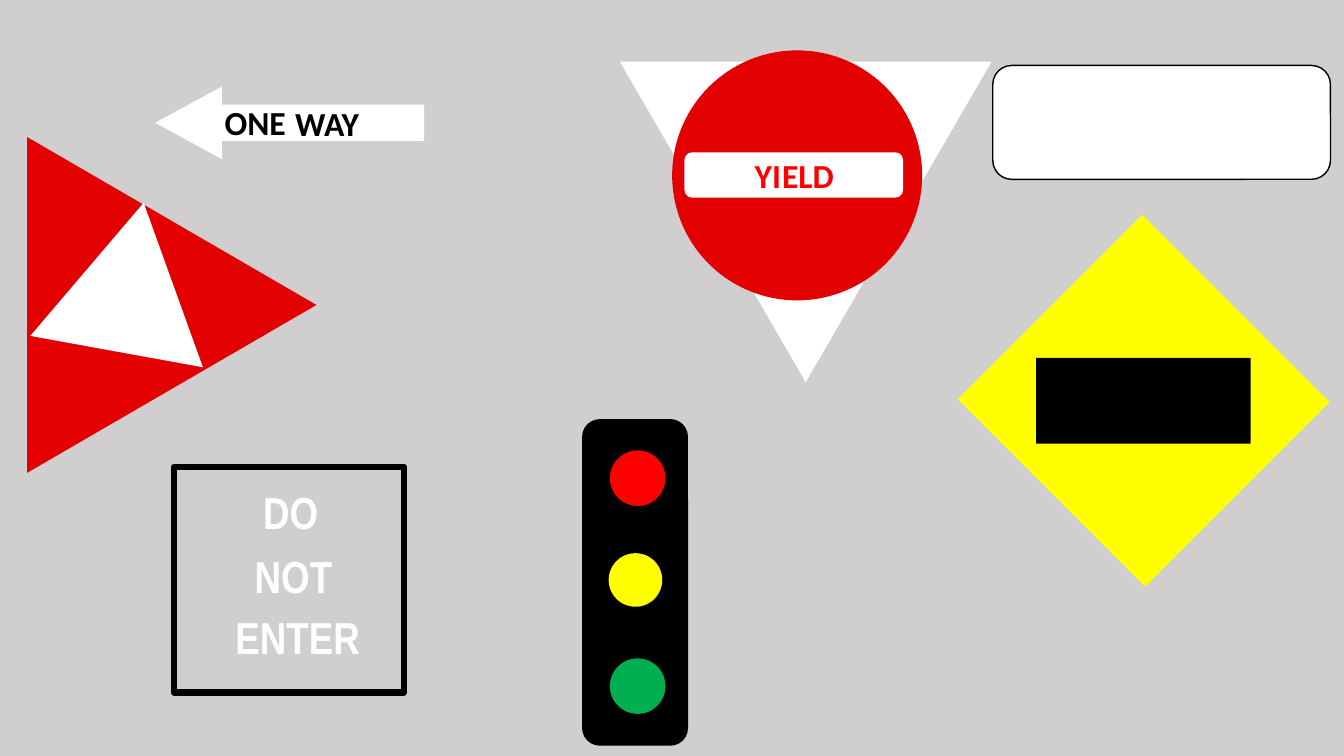
"""Build a slide of road signs and a traffic light."""
from dataclasses import dataclass

from pptx import Presentation
from pptx.dml.color import RGBColor
from pptx.enum.shapes import MSO_SHAPE
from pptx.enum.text import MSO_AUTO_SIZE, PP_ALIGN
from pptx.util import Cm, Pt

RECT = MSO_SHAPE.RECTANGLE
ROUND = MSO_SHAPE.ROUNDED_RECTANGLE
OVAL = MSO_SHAPE.OVAL
TRIANGLE = MSO_SHAPE.ISOSCELES_TRIANGLE
ARROW = MSO_SHAPE.LEFT_ARROW
LEFT, CENTER = PP_ALIGN.LEFT, PP_ALIGN.CENTER


@dataclass(frozen=True)
class Theme:
    backdrop: str = "D0CECE"
    white: str = "FFFFFF"
    black: str = "000000"
    sign_red: str = "E20000"
    red: str = "FF0000"
    yellow: str = "FFFF00"
    green: str = "00B050"
    body_font: str = "Calibri"
    narrow_font: str = "Arial Narrow"
    label: int = 24
    large: int = 32
    thin: float = 1
    thick: float = 4.5


theme = Theme()
prs = Presentation()
prs.slide_width, prs.slide_height = Cm(33.87), Cm(19.05)
s = prs.slides.add_slide(prs.slide_layouts[6])
s.background.fill.solid()
s.background.fill.fore_color.rgb = RGBColor.from_string(theme.backdrop)


def add_sign(kind, box, fill=None, rotation=0, line=None):
    sp = s.shapes.add_shape(kind, *(Cm(v) for v in box))
    sp.shadow.inherit = False
    sp.rotation = rotation
    if fill:
        sp.fill.solid()
        sp.fill.fore_color.rgb = RGBColor.from_string(fill)
    else:
        sp.fill.background()
    if line:
        sp.line.color.rgb = RGBColor.from_string(theme.black)
        sp.line.width = Pt(line)
    else:
        sp.line.fill.background()
    return sp


def add_word(text, box, size, font, color, align=LEFT):
    tf = s.shapes.add_textbox(*(Cm(v) for v in box)).text_frame
    tf.word_wrap = True
    tf.auto_size = MSO_AUTO_SIZE.SHAPE_TO_FIT_TEXT
    p = tf.paragraphs[0]
    p.alignment = align
    r = p.add_run()
    r.text = text
    r.font.size = Pt(size)
    r.font.name = font
    r.font.bold = True
    r.font.color.rgb = RGBColor.from_string(color)


add_sign(ROUND, (25.02, 1.65, 8.51, 2.87), theme.white, line=theme.thin)

one_way = add_sign(ARROW, (3.91, 2.18, 6.78, 1.83), theme.white)
one_way.adjustments[1] = 0.92
for text, left, top, width in (("ONE", 5.41, 2.44, 2.46), ("WAY", 7.19, 2.46, 2.74)):
    add_word(text, (left, top, width, 1.27), theme.label, theme.body_font, theme.black)

add_sign(TRIANGLE, (0.1, 4.04, 8.46, 7.29), theme.sign_red, 90)
add_sign(TRIANGLE, (1.07, 5.08, 4.42, 3.81), theme.white, 10.3)

add_sign(RECT, (25.48, 6.81, 6.68, 6.58), theme.yellow, 45)
add_sign(RECT, (26.11, 9.02, 5.41, 2.16), theme.black)

add_sign(RECT, (4.39, 11.76, 5.79, 5.69), line=theme.thick)
for text, left, top, width, align in (
    ("DO", 6.38, 12.09, 2.97, LEFT),
    ("NOT", 6.17, 13.69, 2.97, LEFT),
    ("ENTER", 5.41, 15.24, 4.19, CENTER),
):
    add_word(text, (left, top, width, 1.63), theme.large, theme.narrow_font, theme.white, align)

add_sign(ROUND, (11.89, 13.34, 8.23, 2.67), theme.black, 270)
for color, left, top, size in (
    (theme.red, 15.37, 11.35, 1.4),
    (theme.yellow, 15.34, 13.94, 1.35),
    (theme.green, 15.37, 16.59, 1.4),
):
    add_sign(OVAL, (left, top, size, size), color)

add_sign(TRIANGLE, (15.62, 1.55, 9.37, 8.08), theme.white, 180)
add_sign(OVAL, (16.94, 1.27, 6.3, 6.3), theme.sign_red)
add_sign(ROUND, (17.25, 3.84, 5.51, 1.14), theme.white)
for text, left, width in (("YI", 18.77, 1.32), ("ELD", 19.46, 2.97)):
    add_word(text, (left, 3.78, width, 1.27), theme.label, theme.body_font, theme.red)

prs.save("out.pptx")
